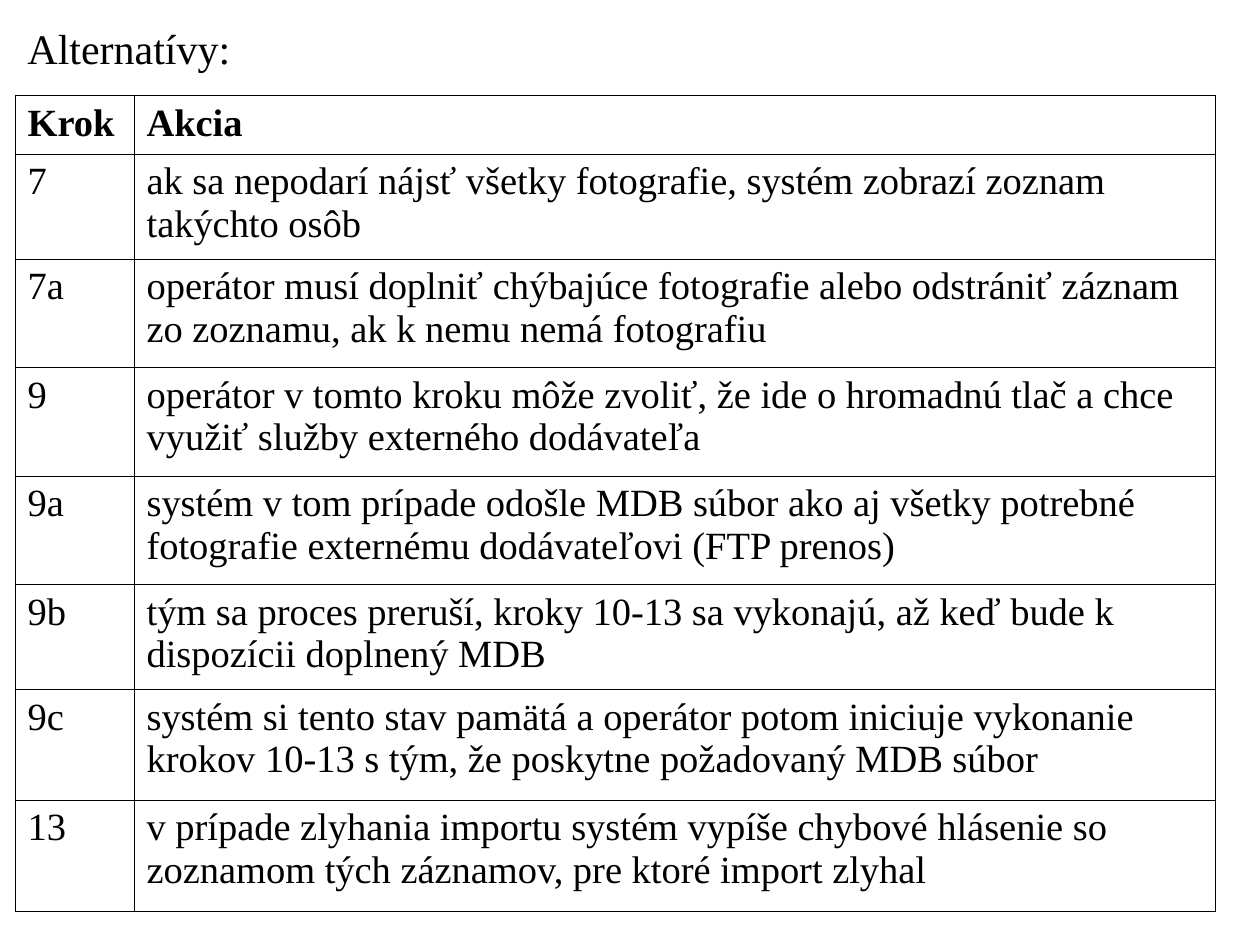
from dataclasses import dataclass

from lxml import etree
from pptx import Presentation
from pptx.dml.color import RGBColor
from pptx.enum import text
from pptx.oxml.ns import qn
from pptx.util import Pt

HEADING = "Alternatívy:"
HEADER = ("Krok", "Akcia")
STEPS = [
    ("7", "ak sa nepodarí nájsť všetky fotografie, systém zobrazí zoznam takýchto osôb"),
    ("7a", "operátor musí doplniť chýbajúce fotografie alebo odstrániť záznam zo zoznamu, ak k nemu nemá fotografiu"),
    ("9", "operátor v tomto kroku môže zvoliť, že ide o hromadnú tlač a chce využiť služby externého dodávateľa"),
    ("9a", "systém v tom prípade odošle MDB súbor ako aj všetky potrebné fotografie externému dodávateľovi (FTP prenos)"),
    ("9b", "tým sa proces preruší, kroky 10-13 sa vykonajú, až keď bude k dispozícii doplnený MDB"),
    ("9c", "systém si tento stav pamätá a operátor potom iniciuje vykonanie krokov 10-13 s tým, že poskytne požadovaný MDB súbor"),
    ("13", "v prípade zlyhania importu systém vypíše chybové hlásenie so zoznamom tých záznamov, pre ktoré import zlyhal"),
]
COLUMN_WIDTHS = (68, 618)
ROW_HEIGHTS = (33.5, 60, 62, 62, 62, 60, 63, 63.5)
LEFT, HEADING_TOP, TABLE_TOP = 8.6, 9.4, 54.7
HEADING_WIDTH, HEADING_HEIGHT = 134, 36


@dataclass(frozen=True)
class Theme:
    font: str = "Times New Roman"
    ink: str = "000000"
    heading_size: float = 24
    table_size: float = 22
    border: float = 0.45


THEME = Theme()


def write(frame, wording, size, bold=False):
    paragraph = frame.paragraphs[0]
    paragraph.text = wording
    paragraph.alignment = text.PP_ALIGN.LEFT
    font = paragraph.font
    font.name, font.size, font.bold = THEME.font, Pt(size), bold
    font.color.rgb = RGBColor.from_string(THEME.ink)


def add_borders(cell):
    properties = cell._tc.get_or_add_tcPr()
    for position, side in enumerate(("a:lnL", "a:lnR", "a:lnT", "a:lnB")):
        line = etree.Element(qn(side), w=str(int(Pt(THEME.border))))
        fill = etree.SubElement(line, qn("a:solidFill"))
        etree.SubElement(fill, qn("a:srgbClr"), val=THEME.ink)
        properties.insert(position, line)


def add_heading(slide):
    heading = slide.shapes.add_textbox(
        Pt(LEFT), Pt(HEADING_TOP), Pt(HEADING_WIDTH), Pt(HEADING_HEIGHT)
    )
    heading.text_frame.word_wrap = True
    heading.text_frame.auto_size = text.MSO_AUTO_SIZE.SHAPE_TO_FIT_TEXT
    write(heading.text_frame, HEADING, THEME.heading_size)


def add_steps(slide):
    rows = [HEADER, *STEPS]
    table = slide.shapes.add_table(
        len(rows), len(HEADER), Pt(LEFT), Pt(TABLE_TOP),
        Pt(sum(COLUMN_WIDTHS)), Pt(sum(ROW_HEIGHTS)),
    ).table
    table.first_row = table.horz_banding = False
    for column, width in zip(table.columns, COLUMN_WIDTHS):
        column.width = Pt(width)
    for row, height, wordings in zip(table.rows, ROW_HEIGHTS, rows):
        row.height = Pt(height)
        for cell, wording in zip(row.cells, wordings):
            cell.fill.background()
            add_borders(cell)
            write(cell.text_frame, wording, THEME.table_size, wordings is HEADER)


def main():
    deck = Presentation()
    deck.slide_width, deck.slide_height = Pt(720), Pt(540)
    slide = deck.slides.add_slide(deck.slide_layouts[6])
    add_steps(slide)
    add_heading(slide)
    deck.save("out.pptx")


if __name__ == "__main__":
    main()
